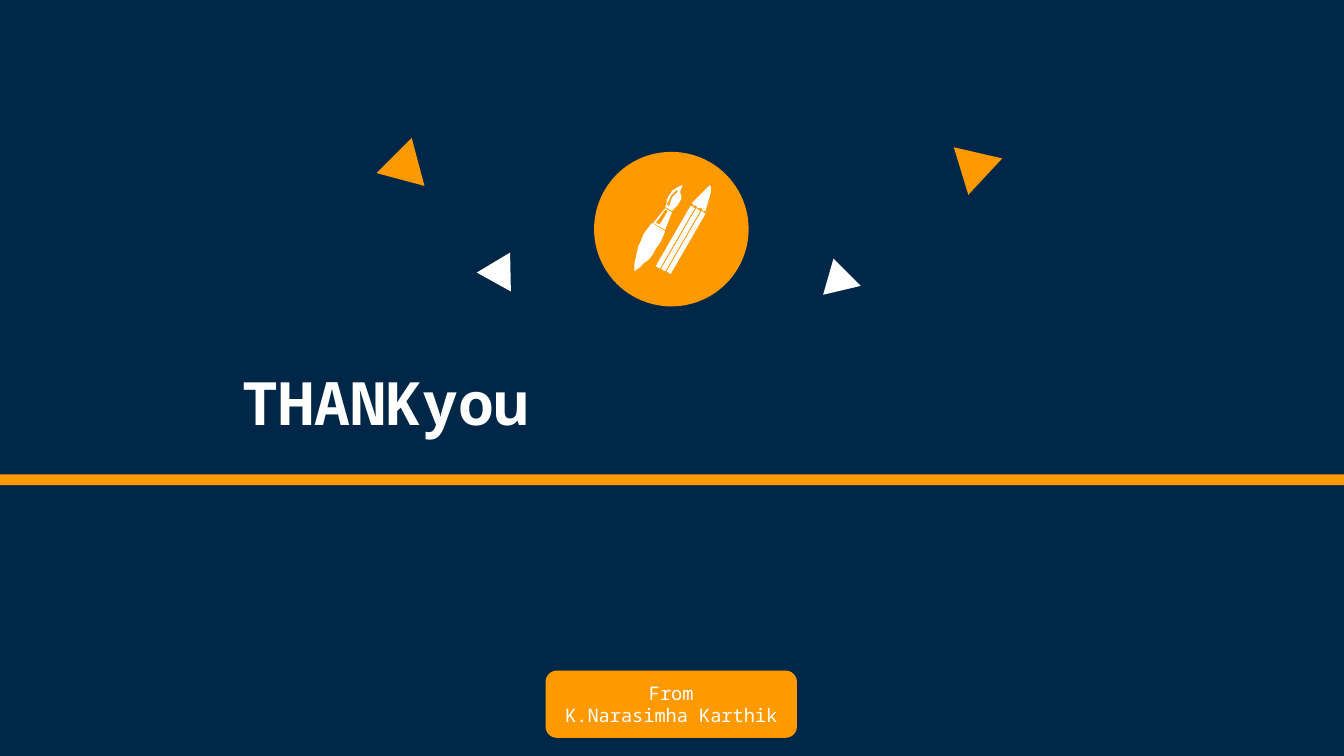
import pptx
import pptx.util
import pptx.dml.color
import pptx.enum.shapes
import pptx.enum.text

NAVY = pptx.dml.color.RGBColor(0x00, 0x27, 0x48)
ORANGE = pptx.dml.color.RGBColor(0xFF, 0x99, 0x00)
WHITE = pptx.dml.color.RGBColor(0xFF, 0xFF, 0xFF)
FONT = "Noto Sans Mono"
SHAPE = pptx.enum.shapes.MSO_SHAPE
ALIGN = pptx.enum.text.PP_ALIGN
ANCHOR = pptx.enum.text.MSO_ANCHOR
PAGE_WIDTH = 10
PAGE_HEIGHT = PAGE_WIDTH * 9 / 16
BADGE_UNITS = 115

BRUSH = [
    [(43, 53), (53, 59), (51, 64), (49, 68), (46, 72), (44, 76), (41, 80),
     (37, 83), (34, 86), (30, 89), (30, 84), (31, 79), (32, 75), (33, 70),
     (35, 66), (37, 61), (40, 57)],
    [(53, 41), (54, 38), (54, 36), (55, 34), (56, 32), (57, 31), (58, 29),
     (60, 28), (61, 27), (63, 26), (65, 25), (66, 25), (65, 27), (64, 30),
     (65, 33), (65, 35), (64, 37), (62, 40), (59, 43), (58, 44)],
    [(61, 29), (61, 28), (62, 29), (62, 30), (60, 32), (58, 34), (57, 37),
     (56, 40), (55, 40), (54, 39), (56, 36), (57, 33), (59, 31)],
    [(44, 53), (53, 58), (58, 45), (53, 42)],
    [(46, 53), (49, 54), (55, 44), (53, 43)],
]
PENCIL_TIP = [
    [(87, 30), (84, 28), (83, 28), (84, 27), (85, 26), (86, 25), (87, 26), (87, 28)],
    [(73, 38), (74, 40), (76, 40), (77, 42), (78, 42), (80, 42), (81, 44),
     (83, 44), (87, 30), (83, 28)],
]
PENCIL_STRIP = [(72, 40), (75, 42), (49, 87), (46, 85)]
PENCIL = PENCIL_TIP + [
    [(x + 4 * step, y + 2 * step) for x, y in PENCIL_STRIP] for step in range(3)
]


def inches(box):
    return [pptx.util.Inches(length) for length in box]


def paint(shape, colour):
    shape.shadow.inherit = False
    shape.fill.solid()
    shape.fill.fore_color.rgb = colour
    shape.line.fill.background()
    return shape


def add_block(shapes, kind, box, colour):
    return paint(shapes.add_shape(kind, *inches(box)), colour)


def write(shape, lines, align, font_format):
    frame = shape.text_frame
    frame.word_wrap = True
    frame.vertical_anchor = ANCHOR.MIDDLE
    for number, line in enumerate(lines):
        para = frame.add_paragraph() if number else frame.paragraphs[0]
        para.alignment = align
        span = para.add_run()
        span.text = line
        span.font.color.rgb = WHITE
        for name, value in font_format.items():
            setattr(span.font, name, value)


def add_title(page, box):
    title = page.shapes.add_textbox(*inches(box))
    write(title, ["THANKyou"], ALIGN.JUSTIFY,
          {"name": FONT, "size": pptx.util.Pt(32), "bold": True})


def add_author(page, box):
    label = add_block(page.shapes, SHAPE.ROUNDED_RECTANGLE, box, ORANGE)
    write(label, ["From", "K.Narasimha Karthik"], ALIGN.CENTER,
          {"name": FONT, "size": pptx.util.Pt(10)})


def add_badge(page, box):
    left, top, width, height = inches(box)
    badge = page.shapes.add_group_shape()
    add_block(badge.shapes, SHAPE.OVAL, box, ORANGE)
    outlines = BRUSH + PENCIL
    builder = badge.shapes.build_freeform(*outlines[0][0], scale=width / BADGE_UNITS)
    for number, outline in enumerate(outlines):
        if number:
            builder.move_to(*outline[0])
        builder.add_line_segments(outline[1:], close=True)
    paint(builder.convert_to_shape(left, top), WHITE)


def add_confetti(page, box):
    left, top, width, height = box
    pieces = [
        (0, 0, 0.37, 0.32, 135, ORANGE),
        (0.16, 0.65, 0.29, 0.25, 29, WHITE),
        (0.92, 0.02, 0.37, 0.32, 193, ORANGE),
        (0.72, 0.74, 0.28, 0.25, 106, WHITE),
    ]
    for column, row, piece_width, piece_height, angle, colour in pieces:
        place = (left + column * width, top + row * height, piece_width, piece_height)
        piece = add_block(page.shapes, SHAPE.ISOSCELES_TRIANGLE, place, colour)
        piece.rotation = angle


def build_closing_page(deck):
    page = deck.slides.add_slide(deck.slide_layouts[6])
    page.background.fill.solid()
    page.background.fill.fore_color.rgb = NAVY
    add_title(page, (1.71, 2.67, 6.57, 0.64))
    add_block(page.shapes, SHAPE.RECTANGLE, (-0.01, 3.53, PAGE_WIDTH + 0.01, 0.08), ORANGE)
    add_author(page, (4.06, 4.99, 1.87, 0.5))
    add_badge(page, (4.42, 1.13, 1.15, 1.15))
    add_confetti(page, (2.86, 1.11, 4.56, 1.16))


deck = pptx.Presentation()
deck.slide_width, deck.slide_height = inches((PAGE_WIDTH, PAGE_HEIGHT))
build_closing_page(deck)
deck.save("out.pptx")
